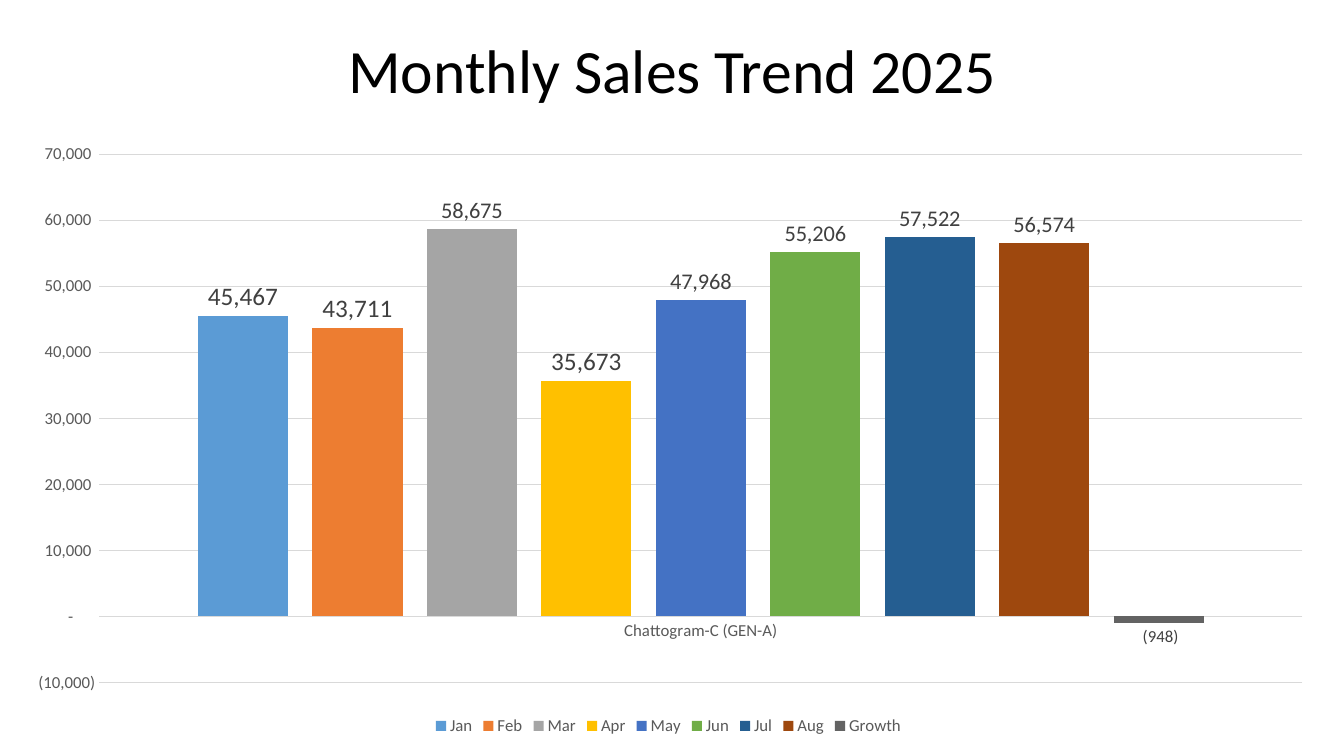
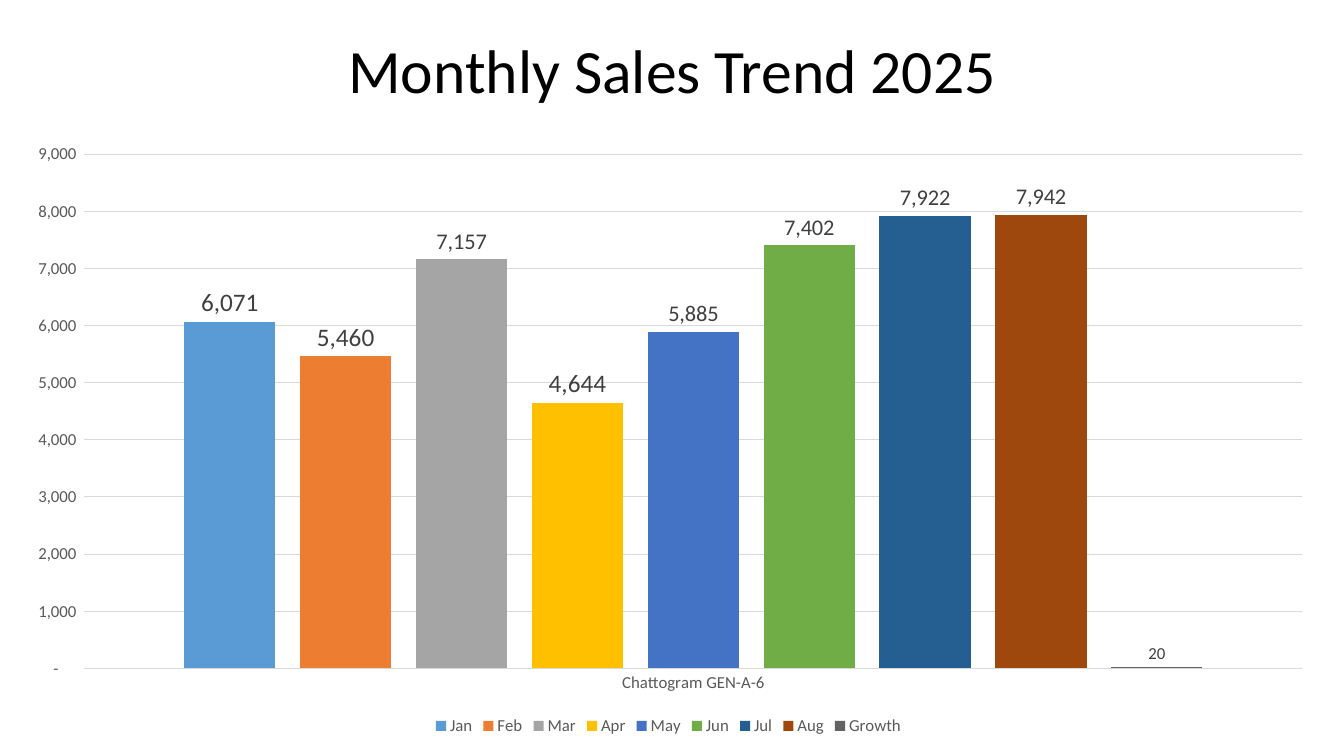
from dataclasses import dataclass

from pptx import Presentation
from pptx.chart.data import CategoryChartData
from pptx.dml.color import RGBColor
from pptx.enum.chart import XL_CHART_TYPE as ChartType
from pptx.enum.chart import XL_LABEL_POSITION as LabelPosition
from pptx.enum.chart import XL_LEGEND_POSITION as LegendPosition
from pptx.enum.chart import XL_TICK_MARK as TickMark
from pptx.enum.text import MSO_ANCHOR, PP_ALIGN
from pptx.util import Inches, Pt

# Shared style
FONT = "Calibri"
TITLE = "Monthly Sales Trend 2025"
NUMBER_FORMAT = r'_(* #,##0_);_(* \(#,##0\);_(* "-"??_);_('
BLACK = RGBColor(0x00, 0x00, 0x00)
LABEL_GRAY = RGBColor(0x40, 0x40, 0x40)
AXIS_GRAY = RGBColor(0x59, 0x59, 0x59)
GRID_GRAY = RGBColor(0xD9, 0xD9, 0xD9)


@dataclass(frozen=True)
class Column:
    name: str
    color: RGBColor
    label_size: int


@dataclass(frozen=True)
class SalesPage:
    area: str
    values: tuple[int, ...]


COLUMNS = (
    Column("Jan", RGBColor(0x5B, 0x9B, 0xD5), 18),
    Column("Feb", RGBColor(0xED, 0x7D, 0x31), 18),
    Column("Mar", RGBColor(0xA5, 0xA5, 0xA5), 16),
    Column("Apr", RGBColor(0xFF, 0xC0, 0x00), 18),
    Column("May", RGBColor(0x44, 0x72, 0xC4), 16),
    Column("Jun", RGBColor(0x70, 0xAD, 0x47), 16),
    Column("Jul", RGBColor(0x25, 0x5E, 0x91), 16),
    Column("Aug", RGBColor(0x9E, 0x48, 0x0E), 16),
    Column("Growth", RGBColor(0x63, 0x63, 0x63), 12),
)

PAGES = (
    SalesPage("Chattogram-C (GEN-A)",
              (45467, 43711, 58675, 35673, 47968, 55206, 57522, 56574, -948)),
    SalesPage("Chattogram GEN-A-6",
              (6071, 5460, 7157, 4644, 5885, 7402, 7922, 7942, 20)),
)


def set_font(font, size: float, color: RGBColor) -> None:
    font.name = FONT
    font.size = Pt(size)
    font.bold = False
    font.color.rgb = color


def add_text(page, text: str, left: float, top: float, width: float, height: float,
             *, size: float, color: RGBColor = BLACK, align=PP_ALIGN.CENTER,
             anchor=MSO_ANCHOR.MIDDLE, line_spacing: float = 0.9) -> None:
    box = page.shapes.add_textbox(Inches(left), Inches(top), Inches(width), Inches(height))
    frame = box.text_frame
    frame.word_wrap = True
    frame.vertical_anchor = anchor
    para = frame.paragraphs[0]
    para.alignment = align
    para.line_spacing = line_spacing
    span = para.add_run()
    span.text = text
    set_font(span.font, size, color)


def style_line(line, color: RGBColor) -> None:
    line.color.rgb = color
    line.width = Pt(0.75)


def style_axes(chart) -> None:
    for axis in (chart.category_axis, chart.value_axis):
        axis.major_tick_mark = axis.minor_tick_mark = TickMark.NONE
        set_font(axis.tick_labels.font, 12, AXIS_GRAY)
    style_line(chart.category_axis.format.line, GRID_GRAY)
    chart.category_axis.has_major_gridlines = False
    value_axis = chart.value_axis
    value_axis.format.line.fill.background()
    value_axis.has_major_gridlines = True
    style_line(value_axis.major_gridlines.format.line, GRID_GRAY)
    value_axis.tick_labels.number_format = NUMBER_FORMAT
    value_axis.tick_labels.number_format_is_linked = False


def style_series(series, column: Column) -> None:
    series.invert_if_negative = False
    series.format.fill.solid()
    series.format.fill.fore_color.rgb = column.color
    labels = series.data_labels
    labels.show_value = True
    labels.position = LabelPosition.OUTSIDE_END
    labels.number_format = NUMBER_FORMAT
    labels.number_format_is_linked = False
    set_font(labels.font, column.label_size, LABEL_GRAY)


def add_sales_chart(page, sales: SalesPage) -> None:
    data = CategoryChartData(number_format=NUMBER_FORMAT)
    data.categories = [sales.area]
    for column, value in zip(COLUMNS, sales.values):
        data.add_series(column.name, [value])
    chart = page.shapes.add_chart(
        ChartType.COLUMN_CLUSTERED, Inches(0.08), Inches(1.31),
        Inches(13.1), Inches(6.03), data).chart
    set_font(chart.font, 10, BLACK)
    chart.has_title = False
    style_axes(chart)

    # Legend
    chart.has_legend = True
    chart.legend.position = LegendPosition.BOTTOM
    chart.legend.include_in_layout = False
    set_font(chart.legend.font, 12, AXIS_GRAY)

    # Columns
    plot = chart.plots[0]
    plot.vary_by_categories = False
    plot.gap_width = 219
    plot.overlap = -27
    for series, column in zip(plot.series, COLUMNS):
        style_series(series, column)


def main() -> None:
    deck = Presentation()
    deck.slide_width = Inches(13.33)
    deck.slide_height = Inches(7.5)
    blank = deck.slide_layouts[6]
    for sales in PAGES:
        page = deck.slides.add_slide(blank)
        add_text(page, TITLE, 0.92, 0.15, 11.5, 1.16, size=44)
        add_sales_chart(page, sales)
    deck.save("out.pptx")


if __name__ == "__main__":
    main()
